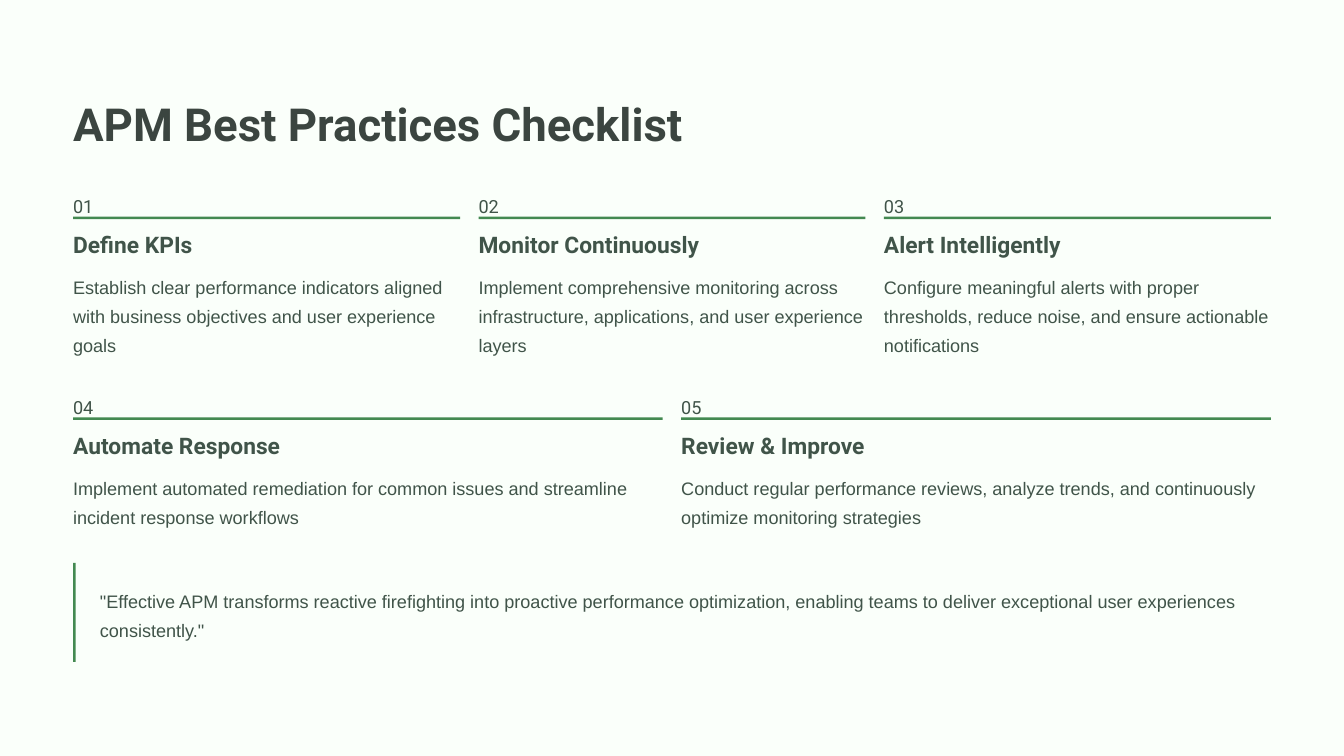
"""Build the APM best practices checklist slide."""
from dataclasses import dataclass

from pptx import Presentation
from pptx.dml.color import RGBColor as RGB
from pptx.enum.shapes import MSO_SHAPE as Shape
from pptx.slide import Slide
from pptx.util import Inches, Pt


@dataclass(frozen=True)
class TextStyle:
    font: str
    size: float
    leading: float
    color: RGB
    bold: bool = False


@dataclass(frozen=True)
class Theme:
    paper: RGB = RGB.from_string("FAFFFA")
    accent: RGB = RGB.from_string("438951")
    title: TextStyle = TextStyle("Roboto", 39, 48.5, RGB.from_string("3B4540"), True)
    number: TextStyle = TextStyle("Roboto", 15.5, 25, RGB.from_string("405449"))
    heading: TextStyle = TextStyle("Roboto", 19.5, 24, RGB.from_string("405449"), True)
    body: TextStyle = TextStyle("Arial", 15.5, 25, RGB.from_string("405449"))


@dataclass(frozen=True)
class Box:
    left: float
    top: float
    width: float
    height: float

    def emu(self) -> tuple[int, int, int, int]:
        return Inches(self.left), Inches(self.top), Inches(self.width), Inches(self.height)


@dataclass(frozen=True)
class Practice:
    heading: str
    body: str


@dataclass(frozen=True)
class Row:
    body_lines: int
    practices: tuple[Practice, ...]


THEME = Theme()
SLIDE_W, SLIDE_H = 16, 9
MARGIN = 0.87
CONTENT_W = SLIDE_W - 2 * MARGIN
GUTTER = 0.22
FIRST_ROW, ROW_STEP = 2.23, 2.39
RULE = 0.03
QUOTE_TOP, QUOTE_H, QUOTE_INDENT = 6.7, 1.18, 0.32

TITLE = "APM Best Practices Checklist"
ROWS = (
    Row(3, (
        Practice("Define KPIs", "Establish clear performance indicators aligned with "
                 "business objectives and user experience goals"),
        Practice("Monitor Continuously", "Implement comprehensive monitoring across "
                 "infrastructure, applications, and user experience layers"),
        Practice("Alert Intelligently", "Configure meaningful alerts with proper thresholds, "
                 "reduce noise, and ensure actionable notifications"),
    )),
    Row(2, (
        Practice("Automate Response", "Implement automated remediation for common issues "
                 "and streamline incident response workflows"),
        Practice("Review & Improve", "Conduct regular performance reviews, analyze trends, "
                 "and continuously optimize monitoring strategies"),
    )),
)
QUOTE = ('"Effective APM transforms reactive firefighting into proactive performance '
         'optimization, enabling teams to deliver exceptional user experiences consistently."')


def lines_height(count: int, style: TextStyle) -> float:
    """Return the height in inches of a number of text lines."""
    return count * style.leading / 72


def add_text(s: Slide, box: Box, text: str, style: TextStyle, wrap: bool = False) -> None:
    """Add a text box without insets."""
    tf = s.shapes.add_textbox(*box.emu()).text_frame
    tf.margin_left = tf.margin_top = tf.margin_right = tf.margin_bottom = 0
    tf.word_wrap = wrap
    p = tf.paragraphs[0]
    p.text = text
    p.line_spacing = Pt(style.leading)
    p.font.name, p.font.size, p.font.bold = style.font, Pt(style.size), style.bold
    p.font.color.rgb = style.color


def add_rect(s: Slide, box: Box, color: RGB) -> None:
    """Add a plain filled rectangle."""
    sp = s.shapes.add_shape(Shape.RECTANGLE, *box.emu())
    sp.shadow.inherit = False
    sp.fill.solid()
    sp.fill.fore_color.rgb = color
    sp.line.fill.background()


def add_practice(s: Slide, number: int, item: Practice, cell: Box, lines: int) -> None:
    """Add a numbered practice with its rule, heading and description."""
    x, y, w = cell.left, cell.top, cell.width
    add_text(s, Box(x, y + 0.01, 0.3, 0.27), f"{number:02}", THEME.number)
    add_rect(s, Box(x, y + 0.35, w, RULE), THEME.accent)
    add_text(s, Box(x, y + 0.51, 2.75, 0.34), item.heading, THEME.heading)
    body = Box(x, y + 0.97, w, lines_height(lines, THEME.body))
    add_text(s, body, item.body, THEME.body, wrap=True)


def add_row(s: Slide, row: Row, top: float, first: int) -> None:
    """Add one row of practices in equal columns."""
    count = len(row.practices)
    width = (CONTENT_W - (count - 1) * GUTTER) / count
    for col, item in enumerate(row.practices):
        cell = Box(MARGIN + col * (width + GUTTER), top, width, ROW_STEP)
        add_practice(s, first + col, item, cell, row.body_lines)


def add_quote(s: Slide) -> None:
    """Add the closing quote, centred beside its bar."""
    height = lines_height(2, THEME.body)
    box = Box(MARGIN + QUOTE_INDENT, QUOTE_TOP + (QUOTE_H - height) / 2,
              CONTENT_W - QUOTE_INDENT, height)
    add_text(s, box, QUOTE, THEME.body, wrap=True)
    add_rect(s, Box(MARGIN, QUOTE_TOP, RULE, QUOTE_H), THEME.accent)


def main() -> None:
    """Build and save the deck."""
    prs = Presentation()
    prs.slide_width, prs.slide_height = Inches(SLIDE_W), Inches(SLIDE_H)
    s = prs.slides.add_slide(prs.slide_layouts[6])
    add_rect(s, Box(0, 0, SLIDE_W, SLIDE_H), THEME.paper)
    add_text(s, Box(MARGIN, 1.12, 8.1, 0.68), TITLE, THEME.title)
    first = 1
    for i, row in enumerate(ROWS):
        add_row(s, row, FIRST_ROW + i * ROW_STEP, first)
        first += len(row.practices)
    add_quote(s)
    prs.save("out.pptx")


if __name__ == "__main__":
    main()
